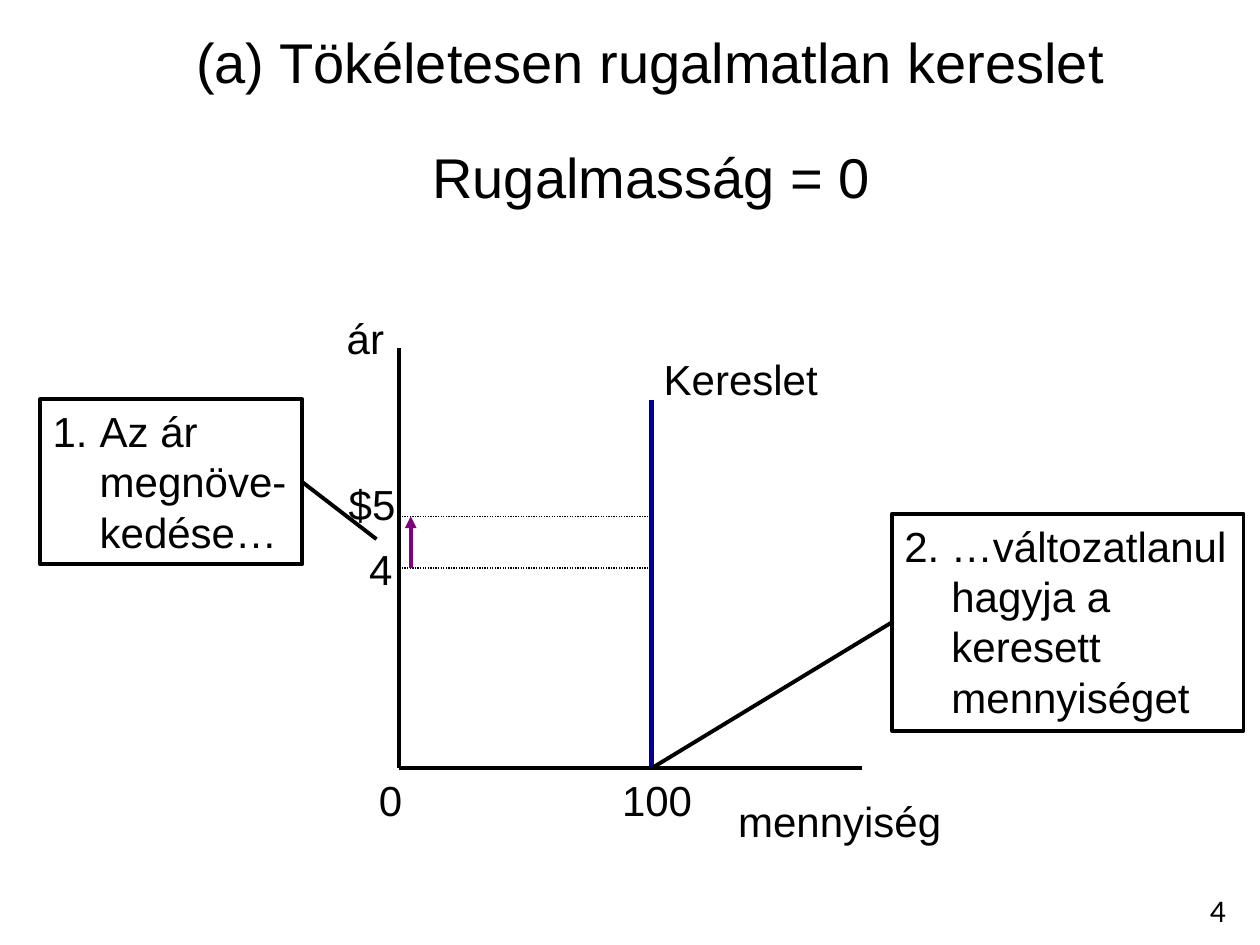
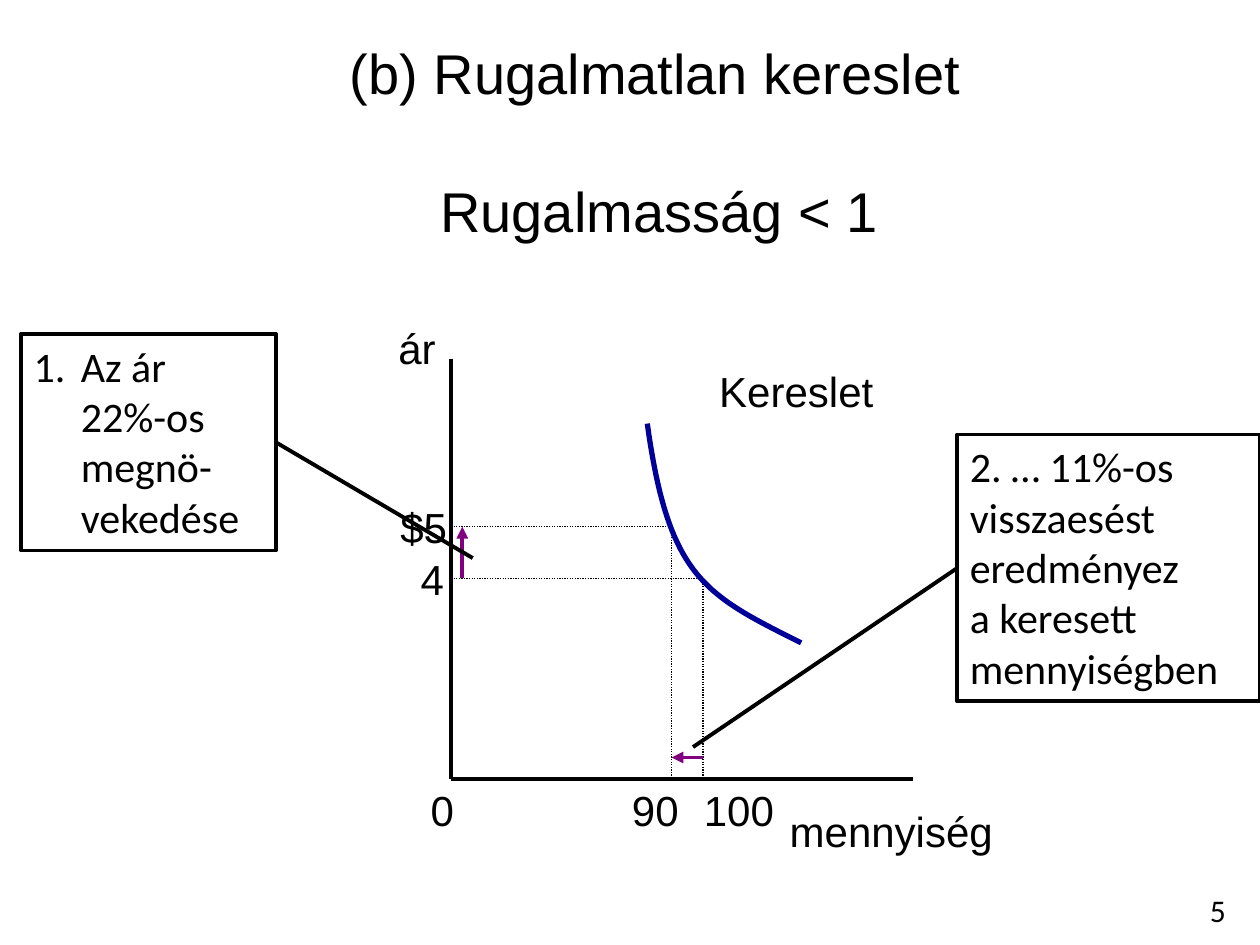
"""Build two slides on perfectly inelastic and inelastic demand."""
from dataclasses import dataclass

from lxml import etree
from pptx import Presentation
from pptx.dml.color import RGBColor
from pptx.enum.dml import MSO_LINE
from pptx.enum.shapes import MSO_CONNECTOR, MSO_SHAPE
from pptx.enum.text import MSO_ANCHOR, MSO_AUTO_SIZE, PP_ALIGN
from pptx.oxml.ns import qn
from pptx.util import Cm, Pt

LEFT, CENTER = PP_ALIGN.LEFT, PP_ALIGN.CENTER
TOP = MSO_ANCHOR.TOP
GROW = MSO_AUTO_SIZE.SHAPE_TO_FIT_TEXT
STRAIGHT, RECTANGLE = MSO_CONNECTOR.STRAIGHT, MSO_SHAPE.RECTANGLE
DOTTED = MSO_LINE.ROUND_DOT
TITLE_ONLY = 5


@dataclass(frozen=True)
class Theme:
    """Colours, fonts, type sizes and line widths of both slides."""
    ink: str = "000000"
    demand: str = "000099"
    change: str = "800080"
    font: str = "Arial"
    second_font: str = "Calibri"
    title_size: int = 32
    label_size: int = 24
    number_size: int = 18
    line: float = 2.25
    demand_line: float = 3
    guide_line: float = 0.75
    hanging: float = 0.95


THEME = Theme()
AXIS_HEIGHT, AXIS_WIDTH = 8.47, 9.32
LOW_PRICE, HIGH_PRICE = -4.04, -5.08
ARROW_GAP = 0.23
LABEL_HEIGHT = 1.28
NUMBER_BOX = (23.7, 17.83, 1.7, 1.02)

AXIS_LABELS = [
    ("ár", -1.31, -9.32, 1.5),
    ("mennyiség", 6.58, 0.42, 4.9),
    ("0", -0.66, 0, 0.99),
    ("4", -0.86, -4.66, 0.99),
]

SLIDES = [
    {
        "title": ("(a) Tökéletesen rugalmatlan kereslet", (3.63, 0.43, 18.97, 1.62)),
        "elasticity": ("Rugalmasság = 0", (8.43, 2.74, 9.4, 1.62)),
        "number": "4",
        "origin": (8.05, 15.49),
        "demand": [(5.08, 0), (5.08, -7.42)],
        "quantities": {"low": 5.08, "high": 5.08},
        "labels": [
            ("$5", -1.27, -5.97, 1.47),
            ("Kereslet", 5.08, -8.48, 3.66),
            ("100", 4.24, 0, 1.93),
        ],
        "callouts": [
            {"text": "Az ár\nmegnöve-\nkedése…", "box": (0.81, 8.05, 5.28, 3.33),
             "target": (7.59, 10.87), "font": THEME.font,
             "hanging": THEME.hanging, "numbered": True},
            {"text": "2. …változatlanul\nhagyja a\nkeresett\nmennyiséget",
             "box": (17.98, 10.36, 7.09, 4.37), "target": (13.13, 15.49),
             "font": THEME.font, "hanging": THEME.hanging},
        ],
    },
    {
        "title": ("(b) Rugalmatlan kereslet", (6.76, 0.64, 12.9, 1.62)),
        "elasticity": ("Rugalmasság < 1", (8.59, 3.43, 9.4, 1.62)),
        "number": "5",
        "origin": (9.09, 15.7),
        "demand": [(3.96, -7.16), (4.39, -4.04), (5.13, -3.71), (7.06, -2.74)],
        "quantities": {"low": 4.45, "high": 5.08},
        "labels": [
            ("$5", -1.27, -5.72, 1.47),
            ("Kereslet", 5.16, -8.46, 3.66),
            ("100", 4.85, 0, 1.93),
            ("90", 3.4, 0, 1.47),
        ],
        "callouts": [
            {"text": "Az ár\n22%-os\nmegnö-\nvekedése", "box": (0.43, 6.73, 5.13, 4.37),
             "target": (9.53, 11.25), "font": THEME.second_font,
             "hanging": THEME.hanging, "numbered": True},
            {"text": "2. … 11%-os\nvisszaesést\neredményez\na keresett\nmennyiségben",
             "box": (19.3, 8.76, 6.1, 5.38), "target": (13.97, 15.06),
             "font": THEME.second_font},
        ],
    },
]


def write(shape, text, font=THEME.font, size=THEME.label_size, align=LEFT,
          hanging=0, numbered=False):
    """Put formatted text into a shape."""
    frame = shape.text_frame
    frame.word_wrap = False
    frame.auto_size = GROW
    frame.vertical_anchor = TOP
    paragraph = frame.paragraphs[0]
    paragraph.text = text
    paragraph.alignment = align
    for run in paragraph.runs:
        run.font.name = font
        run.font.size = Pt(size)
        run.font.color.rgb = RGBColor.from_string(THEME.ink)
    properties = paragraph._p.get_or_add_pPr()
    if hanging:
        properties.set("marL", str(Cm(hanging)))
        properties.set("indent", str(-Cm(hanging)))
    if numbered:
        etree.SubElement(properties, qn("a:buFont"), typeface="+mj-lt")
        etree.SubElement(properties, qn("a:buAutoNum"), type="arabicPeriod")


def add_text(slide, text, box, **text_format):
    """Add a text box at a place given in centimetres."""
    shape = slide.shapes.add_textbox(*map(Cm, box))
    write(shape, text, **text_format)


def style_line(line, color=THEME.ink, width=THEME.line):
    """Set the colour and width of a line."""
    line.color.rgb = RGBColor.from_string(color)
    line.width = Pt(width)


def add_line(slide, start, end, color=THEME.ink, width=THEME.line,
             dash=None, arrow=False):
    """Draw a straight line, with an optional arrowhead at its end."""
    connector = slide.shapes.add_connector(STRAIGHT, *map(Cm, (*start, *end)))
    style_line(connector.line, color, width)
    if dash:
        connector.line.dash_style = dash
    if arrow:
        etree.SubElement(connector.line._get_or_add_ln(), qn("a:tailEnd"), type="triangle")
    etree.SubElement(connector._element.spPr, qn("a:effectLst"))


def bezier_points(controls, steps=40):
    """Return points along a cubic Bézier curve."""
    points = []
    for step in range(steps + 1):
        t = step / steps
        weights = ((1 - t) ** 3, 3 * t * (1 - t) ** 2, 3 * t ** 2 * (1 - t), t ** 3)
        points.append(tuple(sum(weight * control[axis] for weight, control in
                                zip(weights, controls)) for axis in (0, 1)))
    return points


def add_demand(slide, points):
    """Draw demand as a straight line or a curve."""
    if len(points) == 2:
        add_line(slide, *points, color=THEME.demand, width=THEME.demand_line)
        return
    first, *others = [(Cm(x), Cm(y)) for x, y in bezier_points(points)]
    builder = slide.shapes.build_freeform(*first)
    builder.add_line_segments(others, close=False)
    curve = builder.convert_to_shape()
    curve.shadow.inherit = False
    curve.fill.background()
    style_line(curve.line, THEME.demand, THEME.demand_line)


def add_callout(slide, text, box, target, **text_format):
    """Add a framed note and the line from its nearer side to its target."""
    left, top, width, height = box
    shape = slide.shapes.add_shape(RECTANGLE, *map(Cm, box))
    shape.shadow.inherit = False
    shape.fill.background()
    style_line(shape.line)
    write(shape, text, **text_format)
    edge = left + width if target[0] > left else left
    add_line(slide, (edge, top + height / 2), target)


def add_diagram(slide, content):
    """Draw axes, labels, guides, demand and change arrows around the origin."""
    origin_x, origin_y = content["origin"]
    low, high = content["quantities"]["low"], content["quantities"]["high"]

    def place(x, y):
        return origin_x + x, origin_y + y

    add_line(slide, place(0, -AXIS_HEIGHT), place(0, 0))
    add_line(slide, place(0, 0), place(AXIS_WIDTH, 0))
    for text, x, y, width in AXIS_LABELS + content["labels"]:
        add_text(slide, text, (*place(x, y), width, LABEL_HEIGHT))

    guide = {"width": THEME.guide_line, "dash": DOTTED}
    change = {"color": THEME.change, "arrow": True}
    for price, quantity in ((HIGH_PRICE, low), (LOW_PRICE, high)):
        add_line(slide, place(0, price), place(quantity, price), **guide)
        if low != high:
            add_line(slide, place(quantity, price), place(quantity, 0), **guide)
    add_demand(slide, [place(*point) for point in content["demand"]])
    add_line(slide, place(ARROW_GAP, LOW_PRICE), place(ARROW_GAP, HIGH_PRICE), **change)
    if low != high:
        add_line(slide, place(high, -0.43), place(low, -0.43), **change)


def add_slide(presentation, content):
    """Add one demand slide."""
    slide = presentation.slides.add_slide(presentation.slide_layouts[TITLE_ONLY])
    heading = {"size": THEME.title_size, "align": CENTER}
    text, box = content["title"]
    title = slide.shapes.title
    title.left, title.top, title.width, title.height = map(Cm, box)
    write(title, text, **heading)
    add_text(slide, *content["elasticity"], **heading)
    add_text(slide, content["number"], NUMBER_BOX, font=THEME.second_font,
             size=THEME.number_size, align=CENTER)
    add_diagram(slide, content)
    for callout in content["callouts"]:
        add_callout(slide, **callout)


def main():
    """Build and save the presentation."""
    presentation = Presentation()
    presentation.slide_width, presentation.slide_height = Cm(25.4), Cm(19.05)
    for content in SLIDES:
        add_slide(presentation, content)
    presentation.save("out.pptx")


if __name__ == "__main__":
    main()
